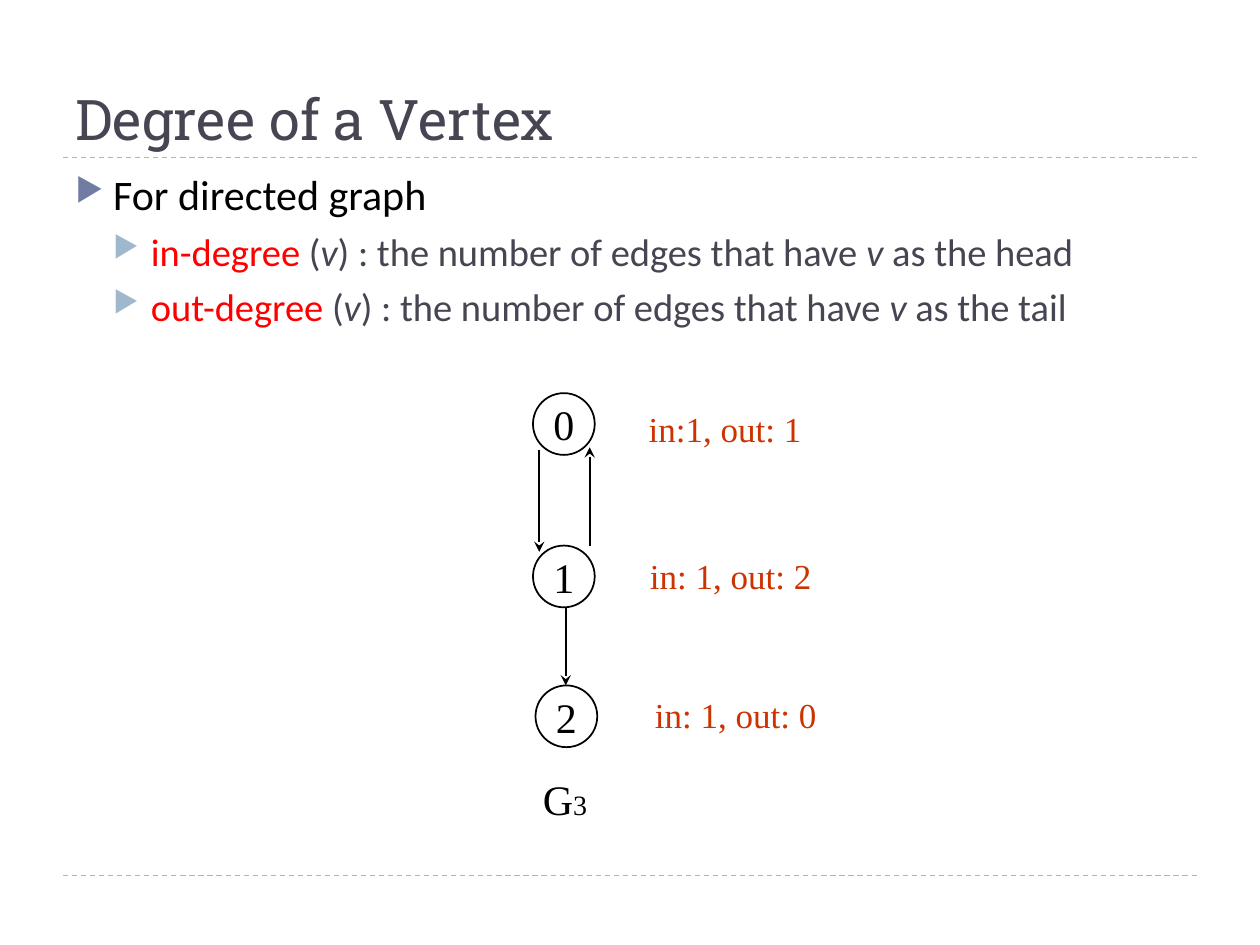
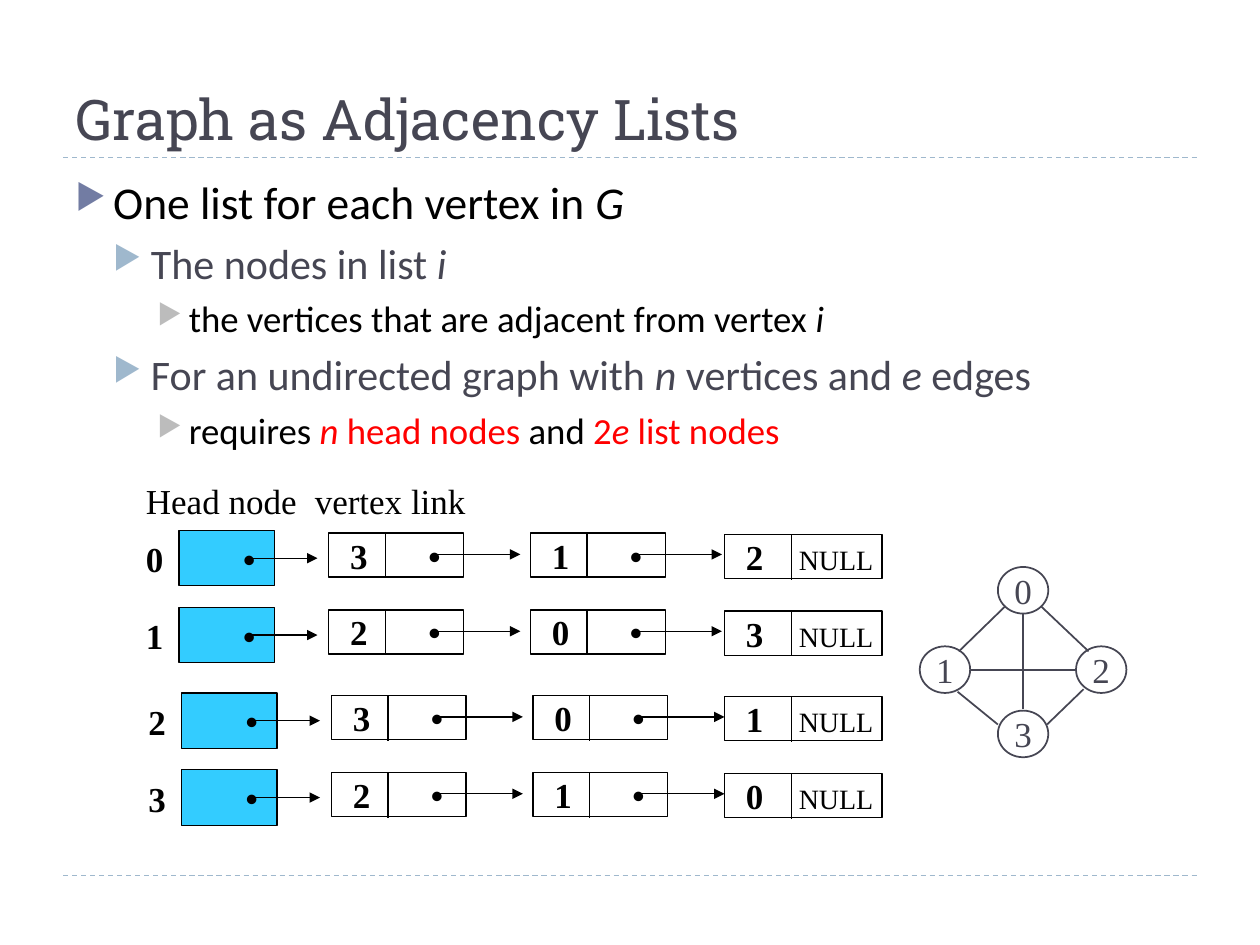
"""Build two slides on graphs: vertex degree and adjacency lists."""
from lxml.etree import SubElement as Sub
from pptx import Presentation as Deck
from pptx.dml.color import RGBColor as RGB
from pptx.enum.dml import MSO_LINE as Dash
from pptx.enum.shapes import MSO_CONNECTOR as Conn, MSO_SHAPE as Shape
from pptx.enum.text import MSO_ANCHOR as Anchor, PP_ALIGN as Align
from pptx.oxml.ns import qn
from pptx.util import Pt

PX = 9144
INK = RGB(0x46, 0x46, 0x53)
BLACK = RGB(0, 0, 0)
WHITE = RGB(255, 255, 255)
RED = RGB(255, 0, 0)
RUST = RGB(0xCC, 0x33, 0x00)
CYAN = RGB(0x33, 0xCC, 0xFF)
SLATE = RGB(0x72, 0x7C, 0xA3)
MIST = RGB(0x9F, 0xB8, 0xCD)
GREY = RGB(0xBC, 0xBC, 0xBC)
HEAD, BODY, SERIF = "Roboto Slab", "Calibri", "Times New Roman"
LEVELS = [(30, -30, SLATE, BLACK, 6), (60, -30, MIST, INK, 5), (90, -25, GREY, BLACK, 5)]


class Page:
    """Hold the style and the current slide."""

    def __init__(self):
        self.deck = Deck()
        self.deck.slide_width, self.deck.slide_height = 1000 * PX, 750 * PX

    def start(self, title):
        self.slide = self.deck.slides.add_slide(self.deck.slide_layouts[6])
        for y in (695, 125):
            self.line(50, y, 950, y, MIST, 0.75, dash=True)
        self.text(50, 17, 900, 108, title, 32, INK, HEAD, anchor=Anchor.BOTTOM)

    def font(self, run, size, ink, face=SERIF, bold=False, slant=False):
        font = run.font
        font.size, font.name, font.bold, font.italic = Pt(size), face, bold, slant
        font.color.rgb = ink

    def frame(self, shape, pads, anchor):
        frame = shape.text_frame
        frame.word_wrap = True
        frame.vertical_anchor = anchor
        frame.margin_left, frame.margin_top, frame.margin_right, frame.margin_bottom = (
            pad * PX for pad in pads)
        return frame

    def tab(self, para, stop):
        tabs = Sub(para._p.get_or_add_pPr(), qn("a:tabLst"))
        Sub(tabs, qn("a:tab"), pos=str(stop * PX), algn="l")

    def fill(self, frame, text, size, ink, face=SERIF, bold=False, align=Align.LEFT, stop=0):
        frame.text = text
        para = frame.paragraphs[0]
        para.alignment = align
        if stop:
            self.tab(para, stop)
        for run in para.runs:
            self.font(run, size, ink, face, bold)
        return para

    def text(self, x, y, w, h, text, size, ink=BLACK, face=SERIF, anchor=Anchor.MIDDLE, **style):
        box = self.slide.shapes.add_textbox(x * PX, y * PX, w * PX, h * PX)
        return self.fill(self.frame(box, (10, 5, 10, 5), anchor), text, size, ink, face, **style)

    def shape(self, kind, x, y, w, h, fill=None, ink=BLACK, weight=0.75, pad=0):
        shape = self.slide.shapes.add_shape(kind, x * PX, y * PX, w * PX, h * PX)
        shape.shadow.inherit = False
        shape.line.color.rgb, shape.line.width = ink, Pt(weight)
        if fill is None:
            shape.fill.background()
        else:
            shape.fill.solid()
            shape.fill.fore_color.rgb = fill
        return self.frame(shape, (pad, 0, 0, 0), Anchor.MIDDLE)

    def ring(self, x, y, w, h, text, size, ink):
        frame = self.shape(Shape.OVAL, x, y, w, h, WHITE, ink, 1)
        self.fill(frame, text, size, ink, align=Align.CENTER)

    def cell(self, x, y, w, h, text, stop=0, pad=17, fill=None):
        frame = self.shape(Shape.RECTANGLE, x, y, w, h, fill, pad=pad)
        return self.fill(frame, text, 20, BLACK, bold=True, stop=stop)

    def line(self, x1, y1, x2, y2, ink=BLACK, weight=0.75, tip=None, dash=False):
        line = self.slide.shapes.add_connector(
            Conn.STRAIGHT, x1 * PX, y1 * PX, x2 * PX, y2 * PX)
        line.line.color.rgb, line.line.width = ink, Pt(weight)
        if dash:
            line.line.dash_style = Dash.DASH
        if tip:
            Sub(line.line._get_or_add_ln(), qn("a:tailEnd"), type=tip)
        Sub(line._element.spPr, qn("a:effectLst"))

    def list(self, items):
        """Add bullets; ~ toggles red and * toggles italic."""
        box = self.slide.shapes.add_textbox(50 * PX, 133 * PX, 900 * PX, 540 * PX)
        frame = self.frame(box, (10, 5, 10, 5), Anchor.TOP)
        for n, (level, size, text) in enumerate(items):
            para = frame.add_paragraph() if n else frame.paragraphs[0]
            left, hang, mark, ink, gap = LEVELS[level]
            props = para._p.get_or_add_pPr()
            props.set("marL", str(left * PX))
            props.set("indent", str(hang * PX))
            Sub(Sub(props, qn("a:buClr")), qn("a:srgbClr"), val=str(mark))
            Sub(props, qn("a:buSzPct"), val="76000")
            Sub(props, qn("a:buChar"), char="▶")
            para.level = level
            if n:
                para.space_before = Pt(gap)
            for i, part in enumerate(text.split("~")):
                for j, bit in enumerate(part.split("*")):
                    if bit:
                        run = para.add_run()
                        run.text = bit
                        self.font(run, size, RED if i % 2 else ink, BODY, slant=j % 2 == 1)
        return frame

    def node(self, x, y, text):
        self.cell(x, y, 107, 35, f"{text}\t•", stop=62)
        self.line(x + 45, y, x + 45, y + 36)
        self.line(x + 83, y + 17, x + 152, y + 17, tip="triangle")

    def row(self, x, y, name, first, next, last):
        self.text(x + 106, y + 2, 32, 41, name, 20, bold=True, align=Align.CENTER)
        self.cell(x + 142, y, 76, 44, "•", pad=51, fill=CYAN)
        self.line(x + 197, y + 22, x + 252, y + 22, tip="triangle")
        for left, text in ((261, first), (421, next)):
            self.node(x + left, y + 2, text)
        para = self.cell(575, y + 3, 125, 35, f"{last}\t", stop=42)
        run = para.add_run()
        run.text = "NULL"
        self.font(run, 16, BLACK)
        self.line(628, y + 3, 628, y + 39)


def degree(page):
    page.start("Degree of a Vertex")
    frame = page.list([
        (0, 24, "For directed graph"),
        (1, 22, "~in-degree ~(*v*) : the number of edges that have *v* as the head"),
        (1, 22, "~out-degree ~(*v*) : the number of edges that have *v* as the tail"),
    ])
    frame.paragraphs[0].line_spacing = 0.9
    for name, x, y in (("0", 423, 312), ("1", 423, 433), ("2", 425, 544)):
        page.ring(x, y, 49, 49, name, 24, BLACK)
    for ends in ((449, 482, 449, 544), (468, 433, 468, 355), (428, 357, 428, 438)):
        page.line(*ends, weight=1, tip="stealth")
    para = page.text(421, 609, 56, 51, "G", 24, anchor=Anchor.TOP)
    run = para.add_run()
    run.text = "3"
    page.font(run, 16, BLACK)
    for x, y, text in ((505, 318, "in:1, out: 1"), (506, 435, "in: 1, out: 2"),
                       (510, 545, "in: 1, out: 0")):
        page.text(x, y, 160, 44, text, 20, RUST)


def lists(page):
    page.start("Graph as Adjacency Lists")
    page.list([
        (0, 26, "One list for each vertex in *G*"),
        (1, 24, "The nodes in list *i*"),
        (2, 21, "the vertices that are adjacent from vertex *i*"),
        (1, 24, "For an undirected graph with *n* vertices and *e* edges"),
        (2, 21, "requires ~*n* head nodes~ and ~2*e* list nodes~"),
    ])
    page.text(106, 375, 300, 44, "Head node\tvertex link", 20, stop=134)
    for x, y, names in ((0, 421, "0312"), (0, 482, "1203"), (2, 550, "2301"), (2, 611, "3210")):
        page.row(x, y, *names)
    for name, x, y in (("0", 792, 450), ("1", 730, 513), ("2", 854, 513), ("3", 792, 564)):
        page.ring(x, y, 40, 37, name, 20, INK)
    for ends in ((812, 487, 812, 563), (771, 532, 853, 532), (798, 481, 761, 517),
                 (826, 481, 864, 517), (760, 549, 792, 575), (860, 547, 831, 575)):
        page.line(*ends, ink=INK, weight=1)


def main():
    page = Page()
    degree(page)
    lists(page)
    page.deck.save("out.pptx")


if __name__ == "__main__":
    main()
